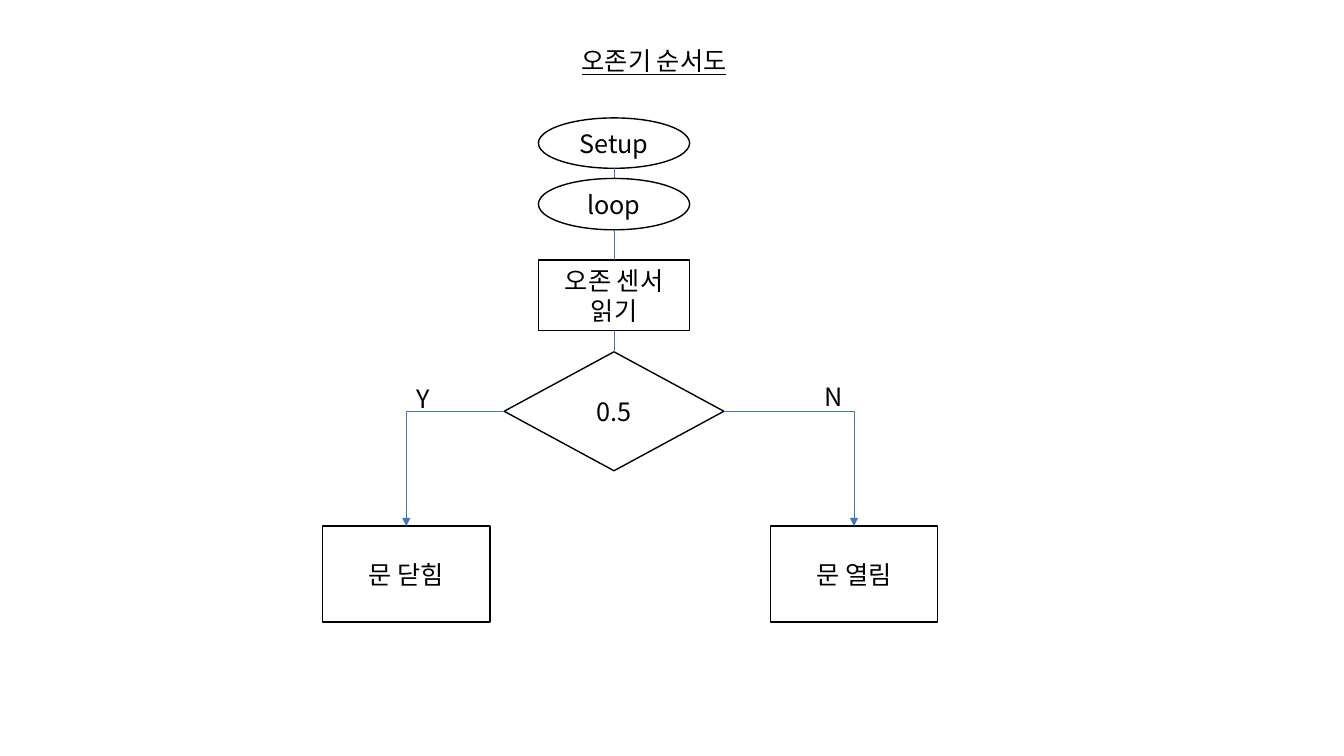
from lxml import etree
from pptx import Presentation
from pptx.dml.color import RGBColor
from pptx.enum.shapes import MSO_CONNECTOR, MSO_SHAPE
from pptx.enum.text import MSO_ANCHOR, MSO_AUTO_SIZE, PP_ALIGN
from pptx.oxml.ns import qn
from pptx.util import Pt

PX = 9144
FONT = "Noto Sans CJK KR"
BLACK = RGBColor(0x00, 0x00, 0x00)
WHITE = RGBColor(0xFF, 0xFF, 0xFF)
BLUE = RGBColor(0x44, 0x72, 0xC4)
OVAL, RECT = MSO_SHAPE.OVAL, MSO_SHAPE.RECTANGLE
DIAMOND = MSO_SHAPE.FLOWCHART_DECISION
LINE, ELBOW = MSO_CONNECTOR.STRAIGHT, MSO_CONNECTOR.ELBOW
LEFT, CENTER = PP_ALIGN.LEFT, PP_ALIGN.CENTER
TOP, MIDDLE = MSO_ANCHOR.TOP, MSO_ANCHOR.MIDDLE
NO_FIT = MSO_AUTO_SIZE.NONE


def write(shape, text, align, anchor, wrap):
    frame = shape.text_frame
    frame.text = text
    frame.word_wrap = wrap
    frame.auto_size = NO_FIT
    frame.vertical_anchor = anchor
    para = frame.paragraphs[0]
    para.alignment = align
    font = para.runs[0].font
    font.name, font.size = FONT, Pt(18)
    font.color.rgb = BLACK
    east = etree.SubElement(para.runs[0]._r.rPr, qn("a:ea"))
    east.set("typeface", FONT)
    return font


def join(kind, x1, y1, x2, y2):
    link = slide.shapes.add_connector(kind, x1 * PX, y1 * PX, x2 * PX, y2 * PX)
    link.line.color.rgb = BLUE
    link.line.width = Pt(0.5)
    etree.SubElement(link._element.spPr, qn("a:effectLst"))
    return link


deck = Presentation()
deck.slide_width, deck.slide_height = 1333 * PX, 750 * PX
slide = deck.slides.add_slide(deck.slide_layouts[5])

title = slide.shapes.title
title.left, title.top = 567 * PX, 40 * PX
title.width, title.height = 181 * PX, 40 * PX
write(title, "오존기 순서도", LEFT, TOP, False).underline = True

# Flow steps: kind, text, left, top, width, height
steps = [
    (OVAL, "Setup", 534, 117, 150, 50),
    (OVAL, "loop", 534, 177, 150, 51),
    (RECT, "오존 센서 읽기", 534, 258, 150, 70),
    (DIAMOND, "0.5", 500, 349, 218, 118),
    (RECT, "문 닫힘", 320, 522, 166, 95),
    (RECT, "문 열림", 764, 522, 166, 95),
]
for kind, text, x, y, w, h in steps:
    step = slide.shapes.add_shape(kind, x * PX, y * PX, w * PX, h * PX)
    step.shadow.inherit = False
    step.fill.solid()
    step.fill.fore_color.rgb = WHITE
    step.line.color.rgb = BLACK
    step.line.width = Pt(1)
    write(step, text, CENTER, MIDDLE, True)

# Stem through the first four steps
for upper, lower in zip(steps[:3], steps[1:4]):
    join(LINE, 609, upper[3] + upper[5], 609, lower[3])

# Branches from the sides of the decision to the two outcomes
for side, end in ((500, 403), (718, 847)):
    branch = join(ELBOW, side, 408, end, 522)
    branch._element.spPr.find(qn("a:prstGeom")).set("prst", "bentConnector2")
    tail = etree.SubElement(branch.line._get_or_add_ln(), qn("a:tailEnd"))
    tail.set("type", "triangle")

for text, x, y, w in (("Y", 403, 375, 34), ("N", 808, 373, 39)):
    label = slide.shapes.add_textbox(x * PX, y * PX, w * PX, 40 * PX)
    write(label, text, LEFT, TOP, False)

deck.save("out.pptx")
